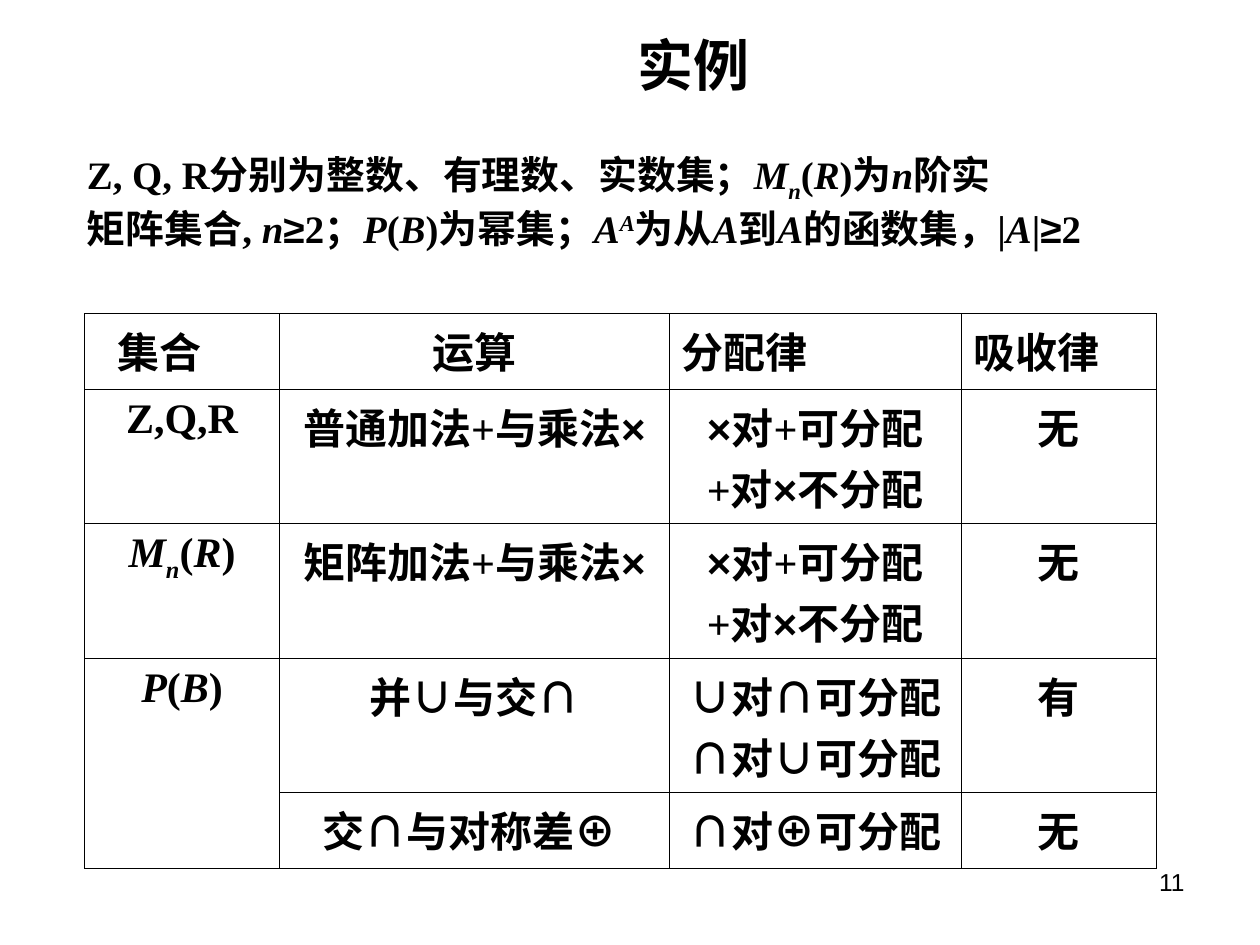
"""Build the slide of example sets with distributive and absorption laws."""
from dataclasses import dataclass
from itertools import groupby

from pptx import Presentation
from pptx.dml.color import RGBColor
from pptx.enum.text import MSO_ANCHOR, MSO_AUTO_SIZE, PP_ALIGN
from pptx.oxml import parse_xml
from pptx.oxml.ns import nsdecls
from pptx.util import Inches, Pt


@dataclass(frozen=True)
class Theme:
    """Colours, fonts and type sizes of the deck."""
    ink: str = "000000"
    serif: str = "Times New Roman"
    sans: str = "Arial"
    title: float = 32
    table: float = 24
    body: float = 22.2
    number: float = 14
    border: float = 0.45


THEME = Theme()
SYMBOLS = "×∪∩⊕≥"
BASELINES = {"_": -25000, "^": 30000}
COLUMNS = (1.55, 3.09, 2.32, 1.55)
ROWS = (0.6, 0.98, 0.98, 0.98, 0.6)
PLUS_TIMES_LAWS = "×对+可分配\n+对×不分配"
TABLE = (
    ("集合", "运算", "分配律", "吸收律"),
    ("Z,Q,R", "普通加法+与乘法×", PLUS_TIMES_LAWS, "无"),
    ("*M*_n_(*R*)", "矩阵加法+与乘法×", PLUS_TIMES_LAWS, "无"),
    ("*P*(*B*)", "并∪与交∩", "∪对∩可分配\n∩对∪可分配", "有"),
    ("", "交∩与对称差⊕ ", "∩对⊕可分配", "无"),
)
BODY = (
    "Z, Q, R分别为整数、有理数、实数集；*M*_n_(*R*)为*n*阶实\n"
    "矩阵集合, *n*≥2；*P*(*B*)为幂集；*A*^A^为从*A*到*A*的函数集，|*A*|≥2"
)


def apply_format(target, values):
    """Set each named attribute of the target."""
    for name, value in values.items():
        setattr(target, name, value)


def styled_letters(text, font):
    """Yield letters with their style; * is italic, _ subscript, ^ superscript."""
    mark = None
    for letter in text:
        if letter == "*" or letter in BASELINES:
            mark = None if mark == letter else letter
        else:
            yield letter, (THEME.sans if letter in SYMBOLS else font, mark)


def add_spans(para, text, size, font=THEME.serif, bold=True):
    """Write marked-up text as formatted runs."""
    for (name, mark), letters in groupby(styled_letters(text, font), lambda pair: pair[1]):
        span = para.add_run()
        span.text = "".join(letter for letter, _ in letters)
        apply_format(span.font, {"name": name, "size": Pt(size), "bold": bold,
                                 "italic": mark is not None})
        span.font.color.rgb = RGBColor.from_string(THEME.ink)
        if mark in BASELINES:
            span.font._element.set("baseline", str(BASELINES[mark]))


def write_lines(frame, text, size, align, **style):
    """Fill a text frame with one paragraph a line and return the paragraphs."""
    for index, line in enumerate(text.split("\n")):
        para = frame.add_paragraph() if index else frame.paragraphs[0]
        para.alignment = align
        add_spans(para, line, size, **style)
    return frame.paragraphs


def place(box, left, top, width, height):
    """Move and size a shape given in inches."""
    apply_format(box, {"left": Inches(left), "top": Inches(top),
                       "width": Inches(width), "height": Inches(height)})


def indent(para, margin, first):
    """Set the left margin and first-line indent in inches."""
    properties = para._p.get_or_add_pPr()
    properties.set("marL", str(Inches(margin)))
    properties.set("indent", str(Inches(first)))


def add_title(page):
    """Place the title."""
    box = page.shapes.title
    place(box, 2.16, 0.28, 6.69, 0.46)
    apply_format(box.text_frame, {"vertical_anchor": MSO_ANCHOR.MIDDLE,
                                  "auto_size": MSO_AUTO_SIZE.NONE})
    write_lines(box.text_frame, "实例", THEME.title, PP_ALIGN.CENTER, font=THEME.sans)


def add_body(page):
    """Place the definitions of the sets."""
    box = page.placeholders[1]
    place(box, 0.59, 1.15, 9.21, 1.02)
    apply_format(box.text_frame, {"vertical_anchor": MSO_ANCHOR.TOP,
                                  "auto_size": MSO_AUTO_SIZE.NONE})
    paras = write_lines(box.text_frame, BODY, THEME.body, PP_ALIGN.LEFT)
    for index, para in enumerate(paras):
        para._p.get_or_add_pPr().append(parse_xml(f"<a:buNone {nsdecls('a')}/>"))
        indent(para, 0.38, -0.38)
        apply_format(para, {"line_spacing": 0.9, "space_before": Pt(6 if index else 0)})


def add_borders(cell):
    """Draw a thin line on all four sides of a cell."""
    for side in ("lnL", "lnR", "lnT", "lnB"):
        cell._tc.get_or_add_tcPr().append(parse_xml(
            f'<a:{side} {nsdecls("a")} w="{Pt(THEME.border)}"><a:solidFill>'
            f'<a:srgbClr val="{THEME.ink}"/></a:solidFill></a:{side}>'))


def add_law_table(page):
    """Add the table of sets, operations and laws."""
    frame = page.shapes.add_table(len(ROWS), len(COLUMNS), Inches(0.67), Inches(2.49),
                                  Inches(sum(COLUMNS)), Inches(sum(ROWS)))
    table = frame.table
    apply_format(table, {"first_row": False, "horz_banding": False})
    for column, width in zip(table.columns, COLUMNS):
        column.width = Inches(width)
    for row, height in zip(table.rows, ROWS):
        row.height = Inches(height)
    for row_index, texts in enumerate(TABLE):
        for column_index, text in enumerate(texts):
            cell = table.cell(row_index, column_index)
            add_borders(cell)
            cell.fill.background()
            left = row_index == 0 and column_index != 1
            write_lines(cell.text_frame, text, THEME.table,
                        PP_ALIGN.LEFT if left else PP_ALIGN.CENTER)
    indent(table.cell(0, 0).text_frame.paragraphs[0], 0.16, 0)
    table.cell(3, 0).merge(table.cell(4, 0))


def add_page_number(page):
    """Add the page number at the lower right."""
    box = page.shapes.add_textbox(Inches(7.17), Inches(6.83), Inches(2.33), Inches(0.52))
    box.text_frame.word_wrap = True
    write_lines(box.text_frame, "11", THEME.number, PP_ALIGN.RIGHT,
                font=THEME.sans, bold=False)


def main():
    """Build and save the deck."""
    deck = Presentation()
    apply_format(deck, {"slide_width": Inches(10), "slide_height": Inches(7.5)})
    page = deck.slides.add_slide(deck.slide_layouts[1])
    add_law_table(page)
    add_title(page)
    add_body(page)
    add_page_number(page)
    deck.save("out.pptx")


if __name__ == "__main__":
    main()
